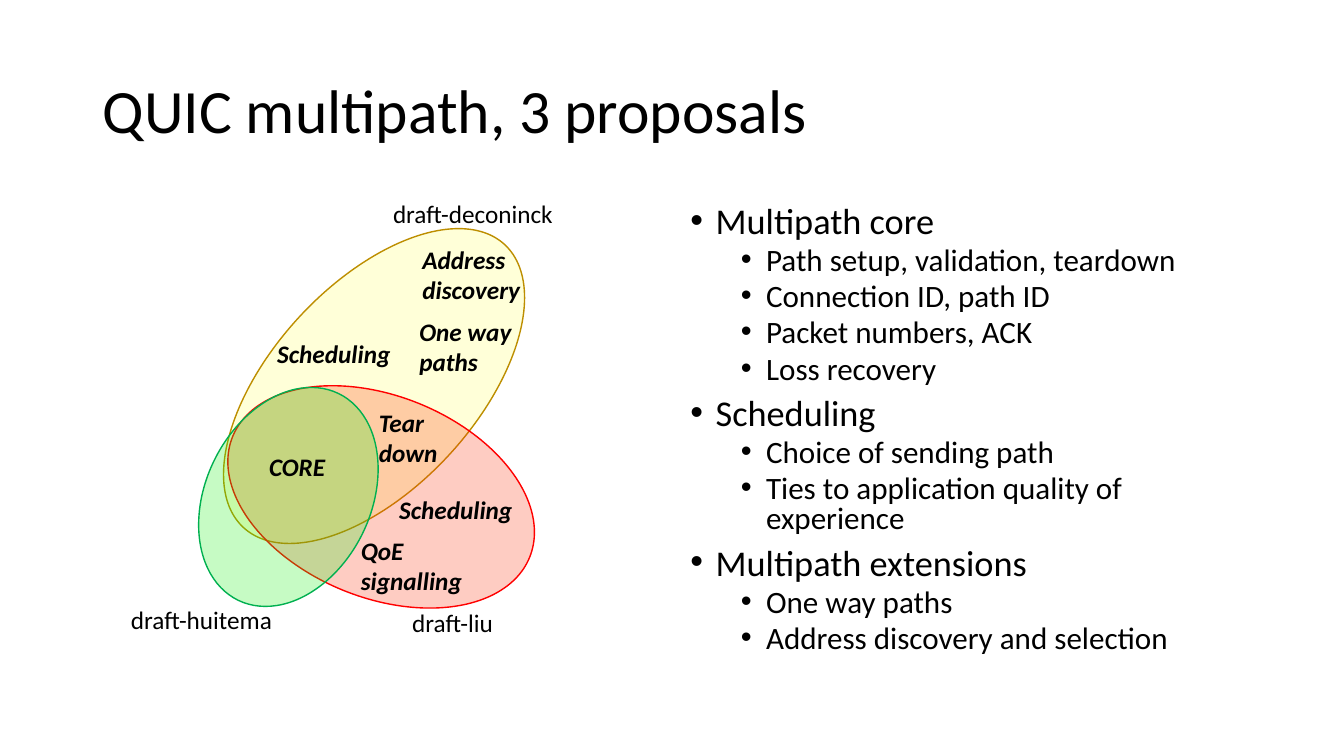
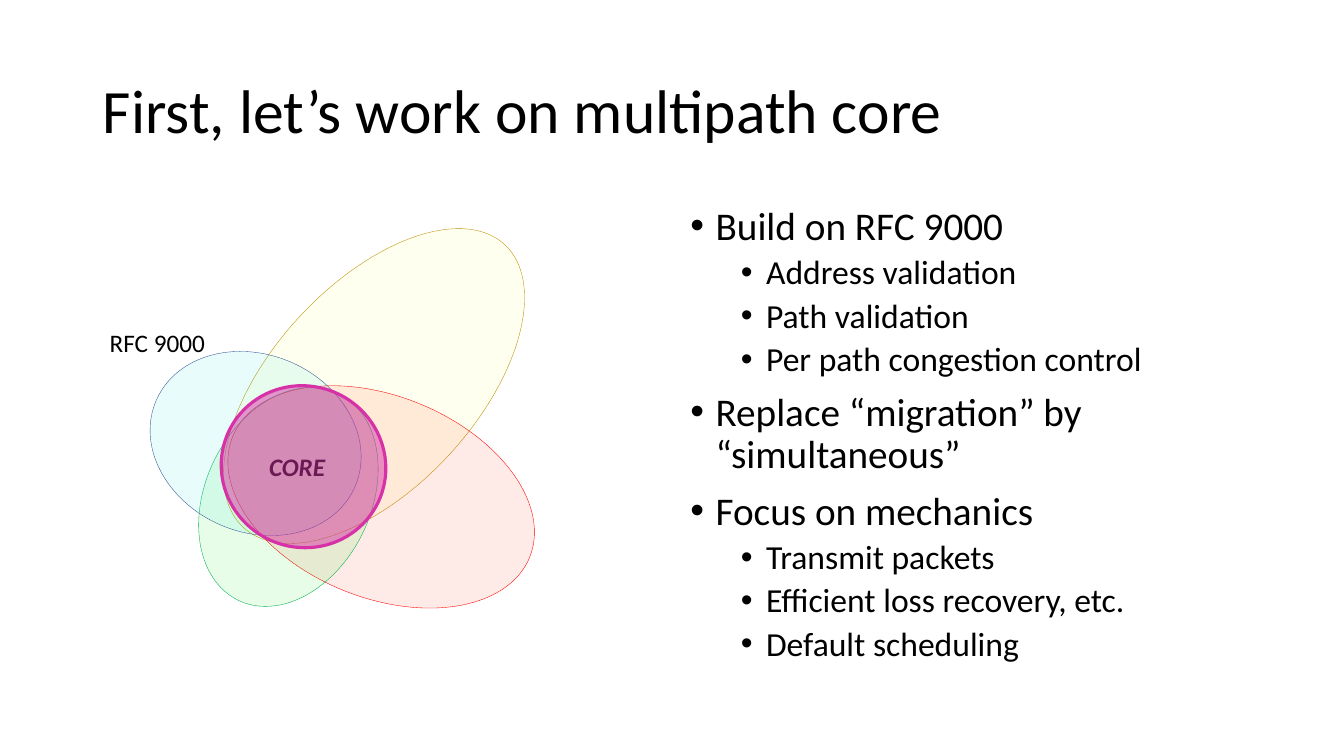
from lxml.etree import SubElement
from pptx import Presentation
from pptx.dml.color import RGBColor
from pptx.enum.shapes import MSO_SHAPE
from pptx.enum.text import MSO_ANCHOR, MSO_AUTO_SIZE, PP_ALIGN
from pptx.oxml.ns import qn
from pptx.util import Inches, Pt

BLACK = RGBColor(0x00, 0x00, 0x00)
YELLOW = RGBColor(0xFF, 0xFF, 0x66)
OCHRE = RGBColor(0xBD, 0x8E, 0x00)
ORANGE_RED = RGBColor(0xFC, 0x34, 0x0C)
RED = RGBColor(0xFF, 0x00, 0x00)
LIME = RGBColor(0x1C, 0xF1, 0x17)
GREEN = RGBColor(0x00, 0xB0, 0x50)
CYAN = RGBColor(0x20, 0xE8, 0xE8)
NAVY = RGBColor(0x32, 0x54, 0x91)
MAGENTA = RGBColor(0xD7, 0x31, 0xA8)

BASE_FONT = {"name": "Calibri", "bold": False, "italic": False}
TITLE_FONT = {**BASE_FONT, "size": Pt(44)}
LABEL_FONT = {**BASE_FONT, "size": Pt(18)}
TOPIC_FONT = {**LABEL_FONT, "bold": True, "italic": True}

TITLE_BOX = (0.92, 0.4, 11.5, 1.45)
DIAGRAM_BOX = (1, 1.9, 4.75, 4.5)
BULLET_BOX = (6.75, 2, 5.67, 4.76)

PROPOSALS = [
    ((0.8, 0.92, 3.82, 2.02), 312.7, YELLOW, OCHRE),
    ((1.19, 2.03, 3.18, 2), 22.1, ORANGE_RED, RED),
    ((0.72, 2.21, 2.28, 1.64), 115.9, LIME, GREEN),
]
BASE_PROTOCOL = ((0.46, 1.62, 2.15, 1.76), 23.4, CYAN, NAVY)
CORE_HIGHLIGHT = ((1.21, 1.91, 1.6, 1.64), 115.9, MAGENTA, MAGENTA)

CORE_LABEL = ("CORE", (1.57, 2.53, 0.91, 0.4))
DRAFT_LABELS = [
    ("draft-deconinck", (2.8, 0.02, 1.94, 0.4)),
    ("draft-liu", (2.99, 4.08, 1.94, 0.4)),
    ("draft-huitema", (0.2, 4.05, 1.94, 0.4)),
]
TOPIC_LABELS = [
    CORE_LABEL,
    ("Address discovery", (3.09, 0.47, 1.28, 0.71)),
    ("One way paths", (3.06, 1.19, 1.35, 0.71)),
    ("Scheduling", (1.65, 1.41, 1.41, 0.4)),
    ("Tear down", (2.66, 2.09, 0.91, 0.71)),
    ("Scheduling", (2.86, 2.95, 1.37, 0.4)),
    ("QoE signalling", (2.48, 3.36, 1.43, 0.71)),
]

PROPOSAL_BULLETS = [
    (0, "Multipath core"),
    (1, "Path setup, validation, teardown"),
    (1, "Connection ID, path ID"),
    (1, "Packet numbers, ACK"),
    (1, "Loss recovery"),
    (0, "Scheduling"),
    (1, "Choice of sending path"),
    (1, "Ties to application quality of experience"),
    (0, "Multipath extensions"),
    (1, "One way paths"),
    (1, "Address discovery and selection"),
]
CORE_BULLETS = [
    (0, "Build on RFC 9000"),
    (1, "Address validation"),
    (1, "Path validation"),
    (1, "Per path congestion control"),
    (0, "Replace “migration” by “simultaneous”"),
    (0, "Focus on mechanics"),
    (1, "Transmit packets"),
    (1, "Efficient loss recovery, etc."),
    (1, "Default scheduling"),
]


def set_attributes(target, values):
    for name, value in values.items():
        setattr(target, name, value)


def format_font(font, values):
    set_attributes(font, values)
    font.color.rgb = BLACK


def inside(box, part):
    left, top, width, height = part
    return [Inches(value) for value in (box[0] + left, box[1] + top, width, height)]


def add_title_slide(presentation, title):
    slide = presentation.slides.add_slide(presentation.slide_layouts[5])
    shape = slide.shapes.title
    set_attributes(shape, dict(zip(("left", "top", "width", "height"), map(Inches, TITLE_BOX))))
    frame = shape.text_frame
    frame.text = title
    set_attributes(frame, {
        "word_wrap": True,
        "auto_size": MSO_AUTO_SIZE.NONE,
        "vertical_anchor": MSO_ANCHOR.MIDDLE,
    })
    paragraph = frame.paragraphs[0]
    set_attributes(paragraph, {"alignment": PP_ALIGN.LEFT, "line_spacing": 0.9})
    format_font(paragraph.runs[0].font, TITLE_FONT)
    return slide


def add_ellipse(slide, box, ellipse, opacity, line_width):
    part, rotation, fill_color, line_color = ellipse
    shape = slide.shapes.add_shape(MSO_SHAPE.OVAL, *inside(box, part))
    shape.rotation = rotation
    shape.shadow.inherit = False
    shape.fill.solid()
    shape.fill.fore_color.rgb = fill_color
    color = shape.fill._xPr.find(qn("a:solidFill")).find(qn("a:srgbClr"))
    SubElement(color, qn("a:alpha"), val=str(opacity * 1000))
    shape.line.color.rgb = line_color
    shape.line.width = Pt(line_width)


def add_label(slide, box, label, font_values):
    text, part = label
    frame = slide.shapes.add_textbox(*inside(box, part)).text_frame
    frame.word_wrap = True
    frame.text = text
    format_font(frame.paragraphs[0].runs[0].font, font_values)


def add_bullets(slide, box, bullets, sizes, gaps, line_spacing):
    frame = slide.shapes.add_textbox(*map(Inches, box)).text_frame
    frame.word_wrap = True
    for index, (level, text) in enumerate(bullets):
        paragraph = frame.add_paragraph() if index else frame.paragraphs[0]
        set_attributes(paragraph, {
            "text": text,
            "level": level,
            "line_spacing": line_spacing,
            "space_before": Pt(gaps[level]),
        })
        properties = paragraph._p.get_or_add_pPr()
        properties.set("marL", str(Inches(0.25 + 0.5 * level)))
        properties.set("indent", str(Inches(-0.25)))
        SubElement(properties, qn("a:buFont"), typeface="Arial")
        SubElement(properties, qn("a:buChar"), char="•")
        format_font(paragraph.runs[0].font, {**BASE_FONT, "size": Pt(sizes[level])})


def add_proposals_diagram(slide, box):
    for ellipse in PROPOSALS:
        add_ellipse(slide, box, ellipse, 25, 1)
    for label in DRAFT_LABELS:
        add_label(slide, box, label, LABEL_FONT)
    for label in TOPIC_LABELS:
        add_label(slide, box, label, TOPIC_FONT)


def add_core_diagram(slide, box):
    for ellipse in [*PROPOSALS, BASE_PROTOCOL]:
        add_ellipse(slide, box, ellipse, 10, 0.25)
    add_label(slide, box, CORE_LABEL, TOPIC_FONT)
    add_label(slide, box, ("RFC 9000", (-0.01, 1.3, 1.4, 0.4)), LABEL_FONT)
    add_ellipse(slide, box, CORE_HIGHLIGHT, 50, 2.25)


def main():
    presentation = Presentation()
    presentation.slide_width = Inches(13.33)
    presentation.slide_height = Inches(7.5)

    slide = add_title_slide(presentation, "QUIC multipath, 3 proposals")
    add_proposals_diagram(slide, DIAGRAM_BOX)
    add_bullets(slide, BULLET_BOX, PROPOSAL_BULLETS, (25.9, 22.2), (9, 4.5), 0.8)

    slide = add_title_slide(presentation, "First, let’s work on multipath core")
    add_core_diagram(slide, DIAGRAM_BOX)
    add_bullets(slide, BULLET_BOX, CORE_BULLETS, (28, 24), (10, 5), 0.9)

    presentation.save("out.pptx")


if __name__ == "__main__":
    main()
